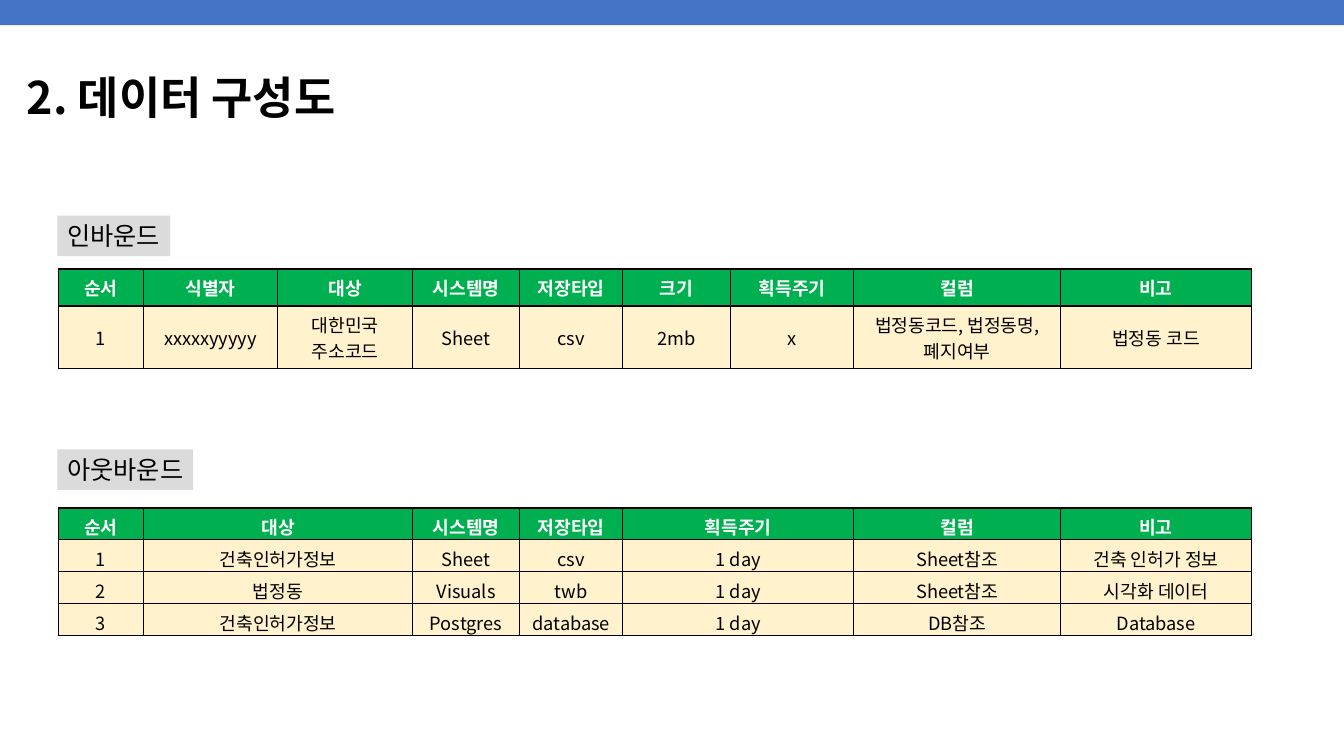
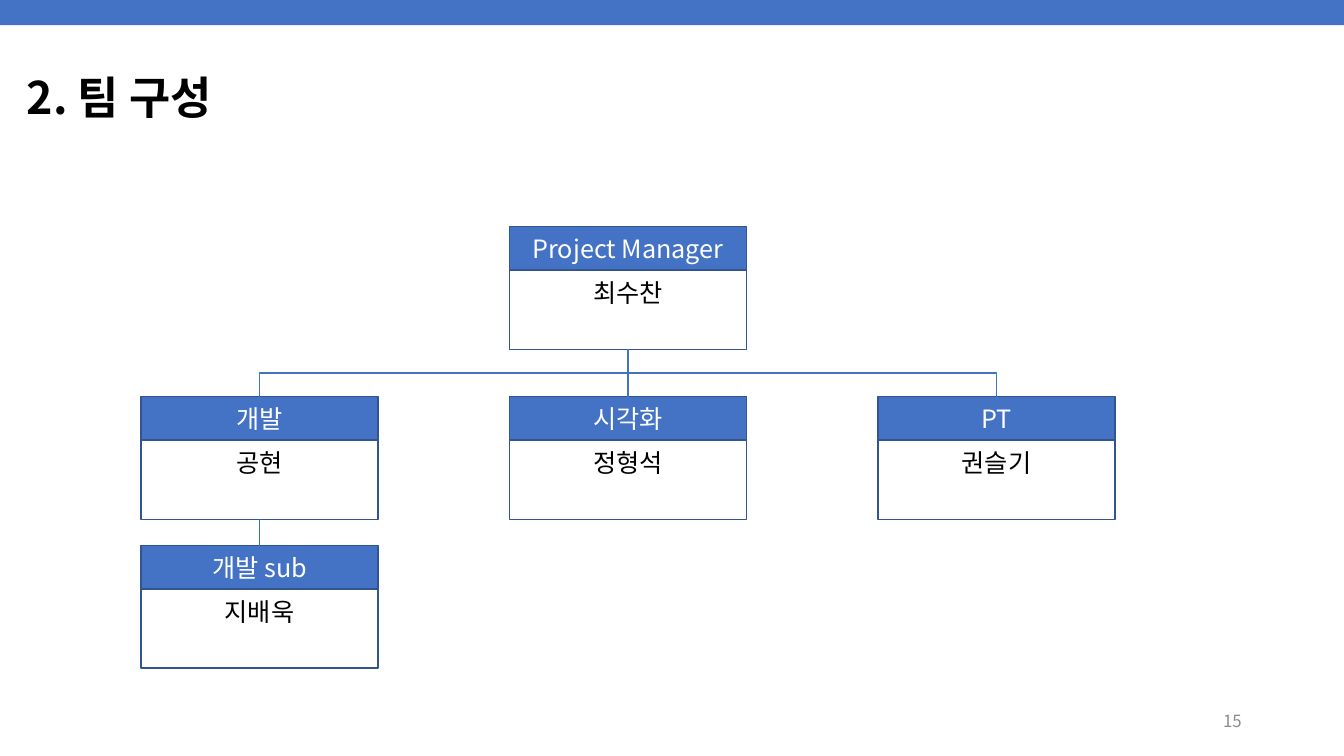
"""Build two slides: the data layout tables and the team chart."""
from lxml import etree
from pptx import Presentation
from pptx.dml.color import RGBColor
from pptx.enum import shapes, text
from pptx.oxml import ns
from pptx.util import Pt

FONT = "Noto Sans CJK KR"
COLOURS = {
    "blue": "4472C4", "outline": "325491", "link": "2E75B6", "green": "00B050",
    "cream": "FFF2CC", "grey": "DBDBDB", "page": "8C8C8C",
    "black": "000000", "white": "FFFFFF",
}
WIDTH, HEIGHT = 960, 540
CENTRE, RIGHT = text.PP_ALIGN.CENTER, text.PP_ALIGN.RIGHT
MIDDLE = text.MSO_ANCHOR.MIDDLE
GROW = text.MSO_AUTO_SIZE.SHAPE_TO_FIT_TEXT

TITLES = ["2. 데이터 구성도", "2. 팀 구성"]
COLUMNS = [60.6, 96, 96.4, 76.4, 73.6, 77, 88, 148, 136]
TABLES = [
    {
        "label": "인바운드", "label_box": (41, 154, 80.6, 29), "top": 192.2,
        "columns": COLUMNS, "heights": [26.4, 44.6], "margins": (3.6, 3.6),
        "rows": [
            ["순서", "식별자", "대상", "시스템명", "저장타입", "크기", "획득주기", "컬럼", "비고"],
            ["1", "xxxxxyyyyy", "대한민국 주소코드", "Sheet", "csv", "2mb", "x",
             "법정동코드, 법정동명, 폐지여부", "법정동 코드"],
        ],
    },
    {
        "label": "아웃바운드", "label_box": (41, 321, 97, 29), "top": 362.8,
        "columns": [COLUMNS[0], sum(COLUMNS[1:3]), *COLUMNS[3:5], sum(COLUMNS[5:7]), *COLUMNS[7:]],
        "heights": [22.8] * 4, "margins": (3.6, 0),
        "rows": [
            ["순서", "대상", "시스템명", "저장타입", "획득주기", "컬럼", "비고"],
            ["1", "건축인허가정보", "Sheet", "csv", "1 day", "Sheet참조", "건축 인허가 정보"],
            ["2", "법정동", "Visuals", "twb", "1 day", "Sheet참조", "시각화 데이터"],
            ["3", "건축인허가정보", "Postgres", "database", "1 day", "DB참조", "Database"],
        ],
    },
]
TABLE_LEFT = 41.8

TEAM = {
    "manager": ("Project Manager", "최수찬", 1, 0),
    "development": ("개발", "공현", 0, 1),
    "visuals": ("시각화", "정형석", 1, 1),
    "talk": ("PT", "권슬기", 2, 1),
    "development_sub": ("개발 sub", "지배욱", 0, 2),
}
STRAIGHT_LINKS = [("manager", "visuals", "blue"), ("development", "development_sub", "link")]
ELBOW_LINKS = [("manager", "development"), ("manager", "talk")]
CARD_LEFT, CARD_STEP, CARD_WIDTH = 100.8, 263.2, 169.2
CARD_TOPS = [162, 283.4, 389.8]
HEAD_HEIGHT, BODY_OFFSET, BODY_HEIGHT = 31, 1, 86.5
NAME_OFFSET, NAME_HEIGHT = 32.4, 28.8


def colour(name):
    return RGBColor.from_string(COLOURS[name])


def write(frame, content, size, ink="black", bold=False, align=None, spacing=None, **frame_format):
    for key, value in frame_format.items():
        setattr(frame, key, value)
    paragraph = frame.paragraphs[0]
    run = paragraph.add_run()
    run.text = content
    for key, value in {"alignment": align, "line_spacing": spacing}.items():
        setattr(paragraph, key, value)
    for key, value in {"name": FONT, "size": Pt(size), "bold": bold}.items():
        setattr(run.font, key, value)
    run.font.color.rgb = colour(ink)
    etree.SubElement(run.font._element, ns.qn("a:ea"), typeface=FONT)


def add_box(parent, box, fill=None, line=None):
    shape = parent.add_shape(shapes.MSO_SHAPE.RECTANGLE, *map(Pt, box))
    shape.shadow.inherit = False
    if fill:
        shape.fill.solid()
        shape.fill.fore_color.rgb = colour(fill)
    else:
        shape.fill.background()
    if line:
        shape.line.color.rgb = colour(line)
        shape.line.width = Pt(1)
    else:
        shape.line.fill.background()
    return shape


def add_text(parent, box, content, size, **values):
    frame = parent.add_textbox(*map(Pt, box)).text_frame
    write(frame, content, size, word_wrap=True, **values)


def start_slide(presentation, title):
    slide = presentation.slides.add_slide(presentation.slide_layouts[6])
    add_box(slide.shapes, (0, 0, WIDTH, 18), "blue")
    add_text(slide.shapes, (12, 39.6, 931, 64), title, 32, bold=True, spacing=0.9, vertical_anchor=MIDDLE)
    return slide


def add_borders(cell):
    properties = cell._tc.get_or_add_tcPr()
    for side in ("lnL", "lnR", "lnT", "lnB"):
        line = etree.SubElement(properties, ns.qn(f"a:{side}"), w=str(Pt(1)))
        fill = etree.SubElement(line, ns.qn("a:solidFill"))
        etree.SubElement(fill, ns.qn("a:srgbClr"), val=COLOURS["black"])


def add_data_table(slide, data):
    columns, heights, rows = data["columns"], data["heights"], data["rows"]
    box = (TABLE_LEFT, data["top"], sum(columns), sum(heights))
    table = slide.shapes.add_table(len(rows), len(columns), *map(Pt, box)).table
    for column, width in zip(table.columns, columns):
        column.width = Pt(width)
    for row, height in zip(table.rows, heights):
        row.height = Pt(height)
    top, bottom = map(Pt, data["margins"])
    for row_index, values in enumerate(rows):
        header = row_index == 0
        for column_index, value in enumerate(values):
            cell = table.cell(row_index, column_index)
            add_borders(cell)
            cell.fill.solid()
            cell.fill.fore_color.rgb = colour("green" if header else "cream")
            cell_format = {"vertical_anchor": MIDDLE, "margin_top": top, "margin_bottom": bottom}
            for key, setting in cell_format.items():
                setattr(cell, key, setting)
            write(cell.text_frame, value, 13, "white" if header else "black", header, CENTRE)


def build_data_slide(presentation):
    slide = start_slide(presentation, TITLES[0])
    for data in TABLES:
        label = add_box(slide.shapes, data["label_box"], "grey")
        write(label.text_frame, data["label"], 18, align=text.PP_ALIGN.LEFT,
              word_wrap=False, auto_size=GROW, vertical_anchor=text.MSO_ANCHOR.TOP)
        add_data_table(slide, data)


def add_card(slide, role, name, column, level):
    left, top = CARD_LEFT + column * CARD_STEP, CARD_TOPS[level]
    card = slide.shapes.add_group_shape().shapes
    body = add_box(card, (left, top + BODY_OFFSET, CARD_WIDTH, BODY_HEIGHT), line="outline")
    head = add_box(card, (left, top, CARD_WIDTH, HEAD_HEIGHT), "blue", "outline")
    write(head.text_frame, role, 18, "white", align=CENTRE, vertical_anchor=MIDDLE)
    add_text(card, (left, top + NAME_OFFSET, CARD_WIDTH, NAME_HEIGHT), name, 18,
             align=CENTRE, auto_size=GROW)
    return head, body


def add_link(slide, kind, ends, ink):
    connector = slide.shapes.add_connector(kind, *ends)
    connector.line.color.rgb = colour(ink)
    connector.line.width = Pt(1)
    etree.SubElement(connector._element.spPr, ns.qn("a:effectLst"))
    return connector


def add_elbow(slide, body, head):
    start_x, start_y = body.left + body.width // 2, body.top + body.height
    end_x, end_y = head.left + head.width // 2, head.top
    middle_x, middle_y = (start_x + end_x) // 2, (start_y + end_y) // 2
    leftward = end_x < start_x
    half_drop = (end_y - start_y) // 2 * (1 if leftward else -1)
    half_span = abs(end_x - start_x) // 2
    ends = (middle_x - half_drop, middle_y - half_span, middle_x + half_drop, middle_y + half_span)
    connector = add_link(slide, shapes.MSO_CONNECTOR.ELBOW, ends, "blue")
    quarter_turn = 90 * 60000
    connector._element.spPr.xfrm.set("rot", str(quarter_turn if leftward else 3 * quarter_turn))


def build_team_slide(presentation):
    slide = start_slide(presentation, TITLES[1])
    add_text(slide.shapes, (678, 500.5, 216, 28.8), "15", 12, ink="page", align=RIGHT, vertical_anchor=MIDDLE)
    cards = {key: add_card(slide, *member) for key, member in TEAM.items()}
    for upper, lower, ink in STRAIGHT_LINKS:
        connector = add_link(slide, shapes.MSO_CONNECTOR.STRAIGHT, (0, 0, 0, 0), ink)
        connector.begin_connect(cards[upper][1], 2)
        connector.end_connect(cards[lower][0], 0)
    for upper, lower in ELBOW_LINKS:
        add_elbow(slide, cards[upper][1], cards[lower][0])


def main():
    presentation = Presentation()
    presentation.slide_width, presentation.slide_height = Pt(WIDTH), Pt(HEIGHT)
    build_data_slide(presentation)
    build_team_slide(presentation)
    presentation.save("out.pptx")


if __name__ == "__main__":
    main()
